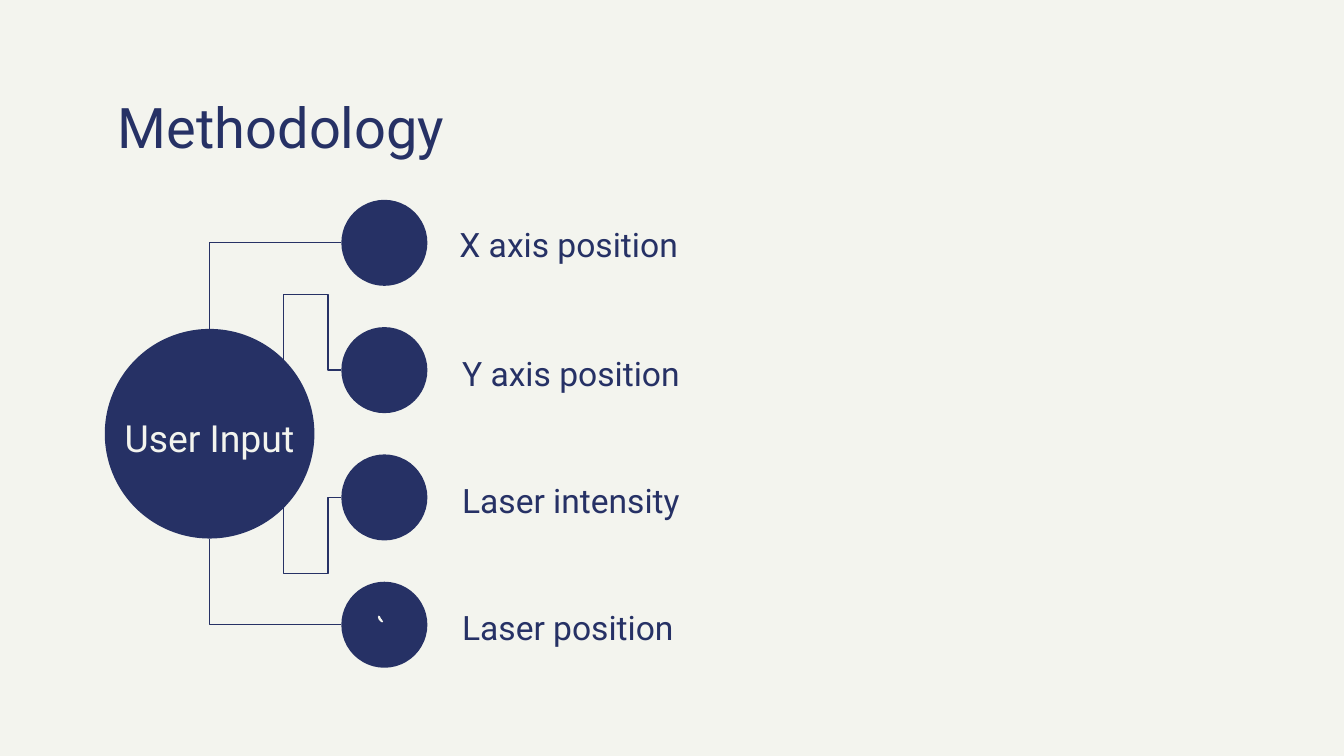
from math import sqrt
from pptx import Presentation
from pptx.enum import shapes as s, text as t
from pptx.dml.color import RGBColor
from pptx.oxml import parse_xml
from pptx.oxml.ns import nsdecls, qn
from pptx.util import Pt

hues = {"navy": "263165", "cream": "F3F4EE"}
rgb = {name: RGBColor.from_string(code) for name, code in hues.items()}

deck = Presentation()
deck.slide_width, deck.slide_height = Pt(720), Pt(405)
slide = deck.slides.add_slide(deck.slide_layouts[6])
slide.background.fill.solid()
slide.background.fill.fore_color.rgb = rgb["cream"]
parts = slide.shapes


def label(words, box, size, hue="navy", **extra):
    frame = parts.add_textbox(*map(Pt, box)).text_frame
    form = {"word_wrap": True, "vertical_anchor": t.MSO_ANCHOR.MIDDLE}
    form.update({f"margin_{side}": Pt(7.2)
                 for side in ("left", "top", "right", "bottom")})
    form.update(extra)
    para = frame.paragraphs[0]
    para.text = words
    para.alignment = form.pop("alignment", t.PP_ALIGN.LEFT)
    para.line_spacing = form.pop("line_spacing", 1.15)
    for key, value in form.items():
        setattr(frame, key, value)
    for key, value in {"name": "Roboto", "size": Pt(size)}.items():
        setattr(para.font, key, value)
    para.font.color.rgb = rgb[hue]


def paint(shape, hue):
    shape.shadow.inherit = False
    shape.fill.solid()
    shape.fill.fore_color.rgb = rgb[hue]
    shape.line.fill.background()


# Title
label("Methodology", (56.16, 42.48, 607.68, 51.12), 30,
      vertical_anchor=t.MSO_ANCHOR.TOP, line_spacing=1.0)

# Circles: a hub and four evenly spaced nodes
hub_x, hub_y, hub_r = 112.32, 232.4, 56.16
node_x, node_d, pitch = 182.88, 46.08, 68.2
rows = [hub_y + (i - 1.5) * pitch for i in range(4)]
for y in rows:
    node = parts.add_shape(s.MSO_SHAPE.OVAL, Pt(node_x), Pt(y - node_d / 2),
                           Pt(node_d), Pt(node_d))
    paint(node, "navy")
hub = parts.add_shape(s.MSO_SHAPE.OVAL, Pt(hub_x - hub_r), Pt(hub_y - hub_r),
                      Pt(2 * hub_r), Pt(2 * hub_r))
paint(hub, "navy")
label("User Input", (58.32, 213.84, 108, 37.44), 20, "cream",
      alignment=t.PP_ALIGN.CENTER)

# Bent connectors, each turned by 270 degrees about its middle
diag = hub_r / sqrt(2)
bends = [  # start x, start y, end row, mirrored, preset, adjustments
    (hub_x, hub_y - hub_r, 0, False, "bentConnector2", ()),
    (hub_x, hub_y + hub_r, 3, True, "bentConnector2", ()),
    (hub_x + diag, hub_y - diag, 1, True, "bentConnector4", (-623500, 76900)),
    (hub_x + diag, hub_y + diag, 2, False, "bentConnector4", (-623500, 76900)),
]
for x, y, row, flip, kind, bend in bends:
    mid_x, mid_y = (x + node_x) / 2, (y + rows[row]) / 2
    half_w, half_h = abs(rows[row] - y) / 2, (node_x - x) / 2
    if flip:
        half_w = -half_w
    wire = parts.add_connector(
        s.MSO_CONNECTOR.ELBOW, Pt(mid_x - half_w), Pt(mid_y - half_h),
        Pt(mid_x + half_w), Pt(mid_y + half_h))
    wire.line.width = Pt(0.75)
    wire.line.color.rgb = rgb["navy"]
    props = wire._element.spPr
    props.find(qn("a:xfrm")).set("rot", "16200000")
    old = props.find(qn("a:prstGeom"))
    guides = "".join(f'<a:gd name="adj{i}" fmla="val {val}"/>'
                     for i, val in enumerate(bend, 1))
    props.replace(old, parse_xml(
        f'<a:prstGeom {nsdecls("a")} prst="{kind}">'
        f'<a:avLst>{guides}</a:avLst></a:prstGeom>'))
    props.append(parse_xml(f'<a:effectLst {nsdecls("a")}/>'))

# Small glint on the last node
edge = [(202.9, 329.8), (202.4, 330.5), (202.9, 331.9), (204.2, 333.2),
        (204.8, 333.4), (205.2, 333), (204.7, 332.1), (203.9, 331.1),
        (203.6, 330.2)]
pen = parts.build_freeform(*map(Pt, edge[0]))
pen.add_line_segments([(Pt(x), Pt(y)) for x, y in edge[1:]], close=True)
paint(pen.convert_to_shape(), "cream")

# Node labels
names = [("X axis position", 239.04, 107.28), ("Y axis position", 240.48, 176.4),
         ("Laser intensity", 240.48, 244.4), ("Laser position", 240.48, 312.6)]
for words, x, y in names:
    label(words, (x, y, 170.64, 43.92), 18)

deck.save("out.pptx")
